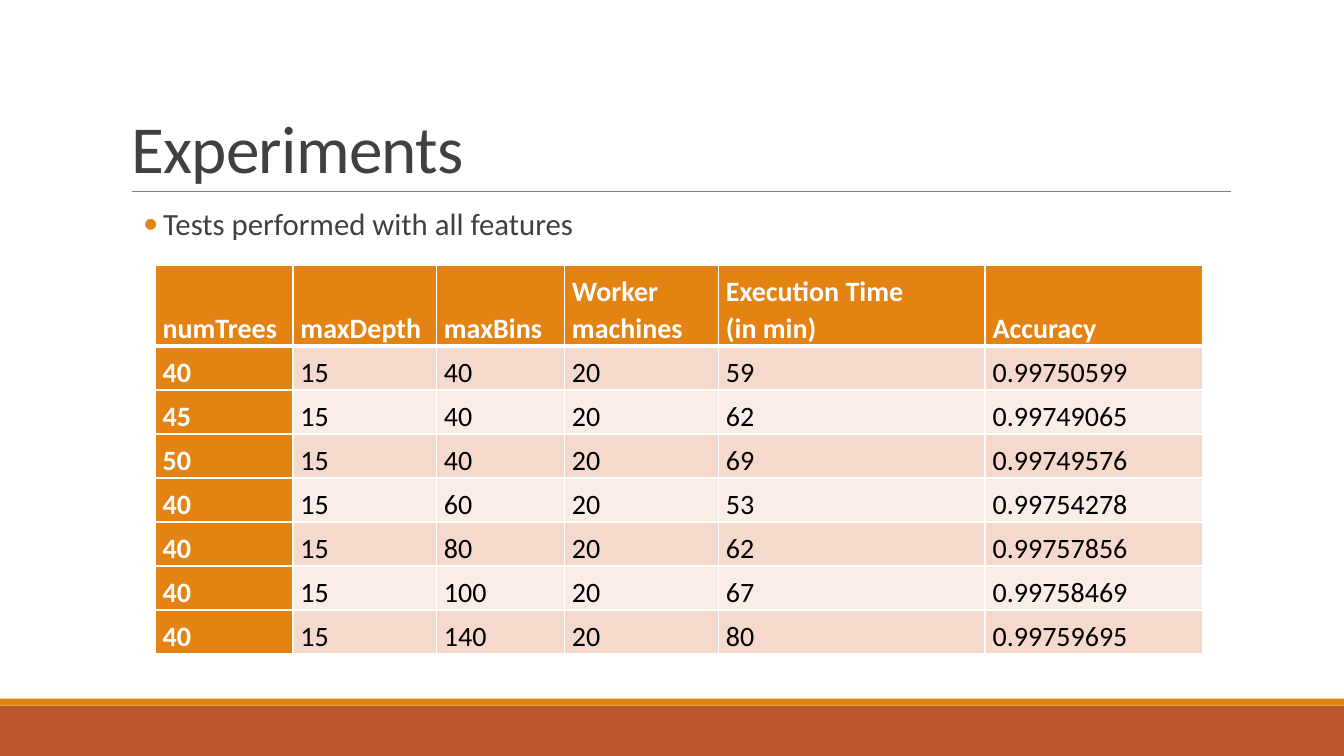
from lxml import etree
from pptx import Presentation
from pptx.dml.color import RGBColor
from pptx.enum.shapes import MSO_CONNECTOR, MSO_SHAPE
from pptx.enum.text import MSO_ANCHOR, MSO_AUTO_SIZE, PP_ALIGN
from pptx.oxml.ns import qn
from pptx.util import Pt

RECT = MSO_SHAPE.RECTANGLE
LINE = MSO_CONNECTOR.STRAIGHT
TOP, BOTTOM = MSO_ANCHOR.TOP, MSO_ANCHOR.BOTTOM
LEFT, JUSTIFY = PP_ALIGN.LEFT, PP_ALIGN.JUSTIFY
NO_FIT = MSO_AUTO_SIZE.NONE

FONT = "Calibri"
COLORS = {
    "orange": "E48312",
    "rust": "BD582C",
    "rule": "808080",
    "text": "404040",
    "black": "000000",
    "white": "FFFFFF",
    "dark band": "F5D9CC",
    "light band": "FAEDE7",
}

WIDTHS = [98.5, 102.5, 91.5, 110, 190.5, 155.5]
HEAD_H, ROW_H = 57.6, 31.45
HEADS = ["numTrees", "maxDepth", "maxBins", "Worker machines",
         "Execution Time \n(in min)", "Accuracy"]
TESTS = [
    (40, 15, 40, 20, 59, 0.99750599),
    (45, 15, 40, 20, 62, 0.99749065),
    (50, 15, 40, 20, 69, 0.99749576),
    (40, 15, 60, 20, 53, 0.99754278),
    (40, 15, 80, 20, 62, 0.99757856),
    (40, 15, 100, 20, 67, 0.99758469),
    (40, 15, 140, 20, 80, 0.99759695),
]


def rgb(name):
    return RGBColor.from_string(COLORS[name])


def style(par, size, color, bold=False):
    font = par.font
    font.name, font.size, font.bold = FONT, Pt(size), bold
    font.color.rgb = rgb(color)


def place(shape, x, y, w, h):
    shape.left, shape.top = Pt(x), Pt(y)
    shape.width, shape.height = Pt(w), Pt(h)


def add_bar(slide, y, h, color):
    bar = slide.shapes.add_shape(RECT, 0, Pt(y), Pt(960), Pt(h))
    bar.shadow.inherit = False
    bar.fill.solid()
    bar.fill.fore_color.rgb = rgb(color)
    bar.line.fill.background()


def add_rule(slide, x, y, w):
    rule = slide.shapes.add_connector(LINE, Pt(x), Pt(y), Pt(x + w), Pt(y))
    rule.line.color.rgb = rgb("rule")
    rule.line.width = Pt(0.5)
    etree.SubElement(rule._element.spPr, qn("a:effectLst"))


def set_title(slide, text):
    title = slide.shapes.title
    place(title, 86.4, 22.5, 792, 114.5)
    frame = title.text_frame
    frame.text = text
    frame.auto_size, frame.vertical_anchor = NO_FIT, BOTTOM
    par = frame.paragraphs[0]
    par.alignment, par.line_spacing = LEFT, 0.85
    style(par, 48, "text")
    par._p.pPr.find(qn("a:defRPr")).set("spc", "-50")


def add_bullet(par, left, hang):
    props = par._p.get_or_add_pPr()
    props.set("marL", str(Pt(left)))
    props.set("indent", str(-Pt(hang)))
    color = etree.SubElement(props, qn("a:buClr"))
    etree.SubElement(color, qn("a:srgbClr"), val=COLORS["orange"])
    etree.SubElement(props, qn("a:buFont"), typeface=FONT)
    etree.SubElement(props, qn("a:buChar"), char="•")


def set_body(slide, text):
    body = slide.placeholders[1]
    place(body, 86.4, 145.5, 792, 342.5)
    frame = body.text_frame
    frame.text = text
    frame.auto_size, frame.vertical_anchor = NO_FIT, TOP
    frame.margin_left = frame.margin_right = 0
    par = frame.paragraphs[0]
    par.line_spacing = 0.9
    par.space_before, par.space_after = Pt(2), Pt(4)
    add_bullet(par, 30.2, 14.4)
    style(par, 22, "text")


def add_edge(cell, side, width):
    props = cell._tc.get_or_add_tcPr()
    edge = etree.SubElement(props, qn("a:ln" + side), w=str(Pt(width)))
    fill = etree.SubElement(edge, qn("a:solidFill"))
    etree.SubElement(fill, qn("a:srgbClr"), val=COLORS["white"])


def fill_cell(cell, text, fill, color, edges):
    cell.text = text
    cell.vertical_anchor = BOTTOM
    cell.margin_left = cell.margin_right = Pt(5.4)
    cell.margin_top = cell.margin_bottom = 0
    for side, width in edges.items():
        add_edge(cell, side, width)
    cell.fill.solid()
    cell.fill.fore_color.rgb = rgb(fill)
    for par in cell.text_frame.paragraphs:
        par.alignment, par.line_spacing = JUSTIFY, 1.07
        style(par, 20, color, bold=color == "white")


def add_grid(slide, x, y):
    rows = [HEADS] + TESTS
    high = HEAD_H + ROW_H * len(TESTS)
    frame = slide.shapes.add_table(len(rows), len(HEADS), Pt(x), Pt(y),
                                   Pt(sum(WIDTHS)), Pt(high))
    grid = frame.table
    grid.first_col, grid.horz_banding = True, False
    for col, width in zip(grid.columns, WIDTHS):
        col.width = Pt(width)
    for r, row in enumerate(rows):
        grid.rows[r].height = Pt(ROW_H if r else HEAD_H)
        band = "dark band" if r % 2 else "light band"
        # A thick edge parts the header from the tests
        edges = {"L": 1, "R": 1, "T": 3 if r == 1 else 1, "B": 1 if r else 3}
        for c, value in enumerate(row):
            head = r == 0 or c == 0
            fill, color = ("orange", "white") if head else (band, "black")
            fill_cell(grid.cell(r, c), str(value), fill, color, edges)


def main():
    deck = Presentation()
    deck.slide_width, deck.slide_height = Pt(960), Pt(540)
    slide = deck.slides.add_slide(deck.slide_layouts[1])

    # Footer bars and title rule
    add_bar(slide, 504, 36, "rust")
    add_bar(slide, 499, 5, "orange")
    add_rule(slide, 94.5, 136.8, 784.5)

    # Heading and list
    set_title(slide, "Experiments")
    set_body(slide, "Tests performed with all features")

    # Test results
    add_grid(slide, 110.75, 189.5)
    deck.save("out.pptx")


main()
